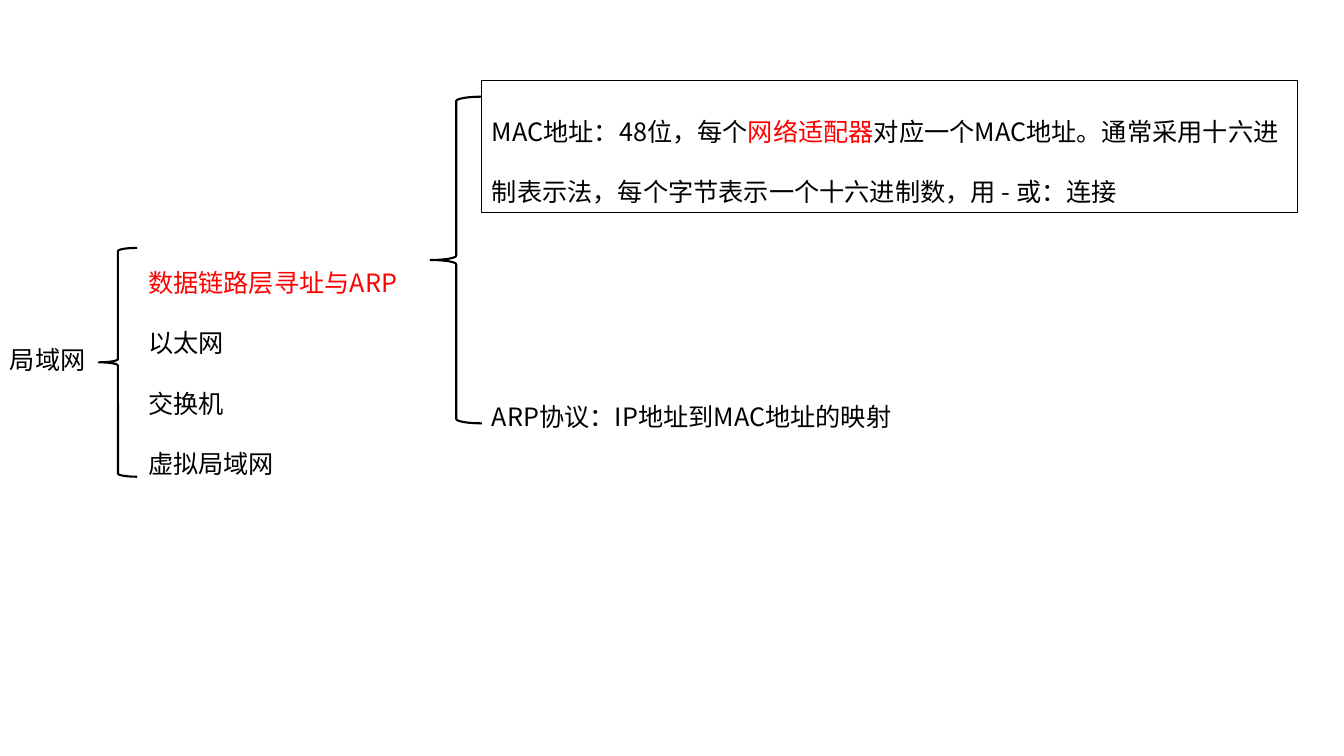
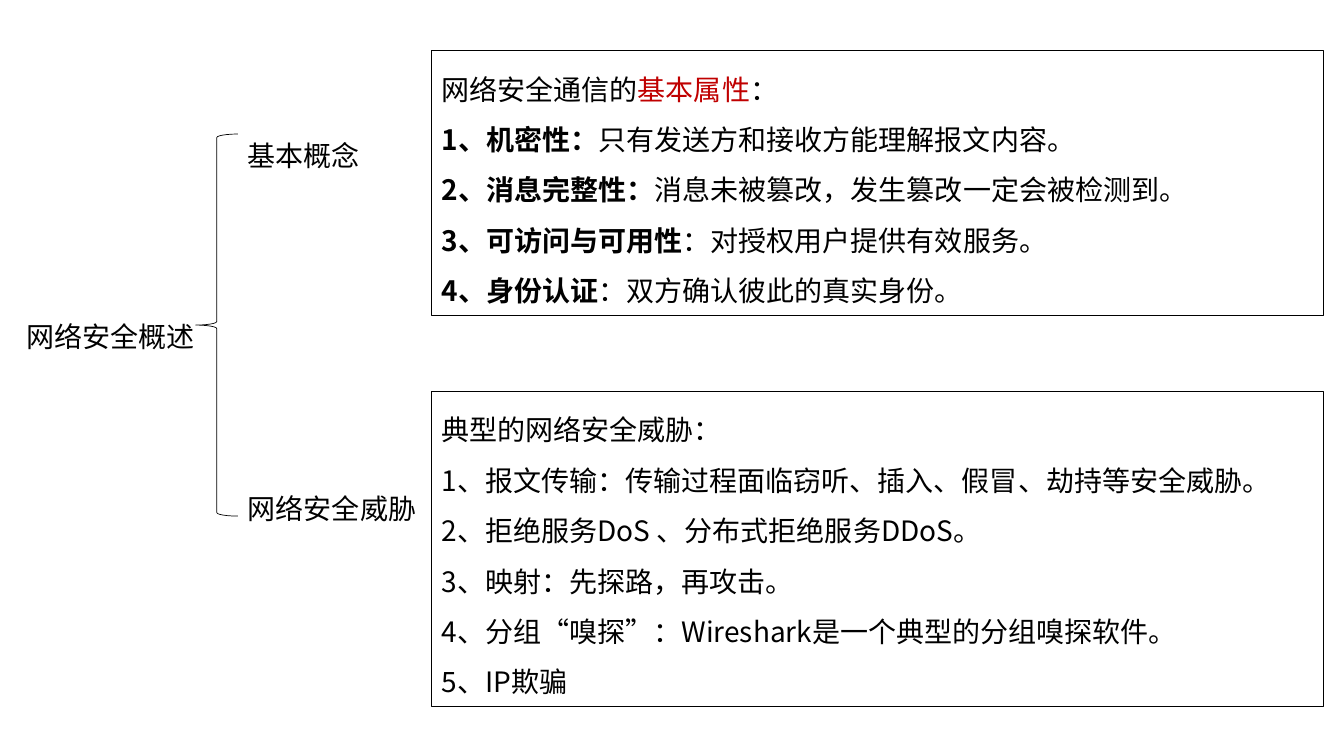
from dataclasses import dataclass

from lxml import etree
from pptx import Presentation
from pptx import util as u
from pptx.dml.color import RGBColor
from pptx.enum import shapes, text
from pptx.oxml import ns


@dataclass(frozen=True)
class Theme:
    """Colours, font and type sizes of the deck."""
    ink: str = "000000"
    red: str = "FF0000"
    dark_red: str = "C00000"
    font: str = "Noto Sans CJK SC"
    small: int = 18
    large: int = 20
    frame_line: float = 0.75


@dataclass(frozen=True)
class Box:
    """A rectangle in inches."""
    left: float
    top: float
    width: float
    height: float

    def inner(self, left, top, width, height):
        """Return a box placed relative to this one."""
        return Box(self.left + left, self.top + top, width, height)

    def lengths(self):
        """Return the four lengths for python-pptx."""
        return [u.Inches(value) for value in (self.left, self.top, self.width, self.height)]


THEME = Theme()


def plain(words):
    """Describe a span in the standard ink."""
    return words, THEME.ink, False


def strong(words):
    """Describe a bold span."""
    return words, THEME.ink, True


def marked(words, color):
    """Describe a coloured span."""
    return words, color, False


def style_span(span, color, bold, size):
    """Give a span its Latin and East Asian font, size and colour."""
    span.font.name = THEME.font
    span.font.size = u.Pt(size)
    span.font.bold = bold
    span.font.color.rgb = RGBColor.from_string(color)
    latin = span.font._element.find(ns.qn("a:latin"))
    east_asian = etree.Element(ns.qn("a:ea"), typeface=THEME.font)
    latin.addnext(east_asian)


def write(shape, lines, size, spacing):
    """Fill a shape with paragraphs made of described spans."""
    frame = shape.text_frame
    frame.word_wrap = True
    frame.auto_size = text.MSO_AUTO_SIZE.SHAPE_TO_FIT_TEXT
    frame.vertical_anchor = text.MSO_ANCHOR.TOP
    for index, line in enumerate(lines):
        para = frame.add_paragraph() if index else frame.paragraphs[0]
        para.alignment = text.PP_ALIGN.LEFT
        para.line_spacing = spacing
        for words, color, bold in line:
            span = para.add_run()
            span.text = words
            style_span(span, color, bold, size)


def add_text(page, box, lines, size, spacing=1.0):
    """Add an unframed text box."""
    write(page.shapes.add_textbox(*box.lengths()), lines, size, spacing)


def add_outline(page, kind, box, weight):
    """Add an unfilled preset shape with a dark outline."""
    shape = page.shapes.add_shape(kind, *box.lengths())
    shape.shadow.inherit = False
    shape.fill.background()
    shape.line.color.rgb = RGBColor.from_string(THEME.ink)
    shape.line.width = u.Pt(weight)
    return shape


def add_brace(page, box, weight):
    """Add a left brace that opens a branch."""
    add_outline(page, shapes.MSO_SHAPE.LEFT_BRACE, box, weight)


def add_framed_text(page, box, lines, size, spacing):
    """Add text inside a thin frame."""
    frame = add_outline(page, shapes.MSO_SHAPE.RECTANGLE, box, THEME.frame_line)
    write(frame, lines, size, spacing)


def network_topics(page, box):
    """Place the root topic, its brace and its branches."""
    topics = [
        [marked("数据链路层寻址与ARP", THEME.red)],
        [plain("以太网")],
        [plain("交换机")],
        [plain("虚拟局域网")],
    ]
    add_text(page, box.inner(0, 1.07, 1.37, 0.4), [[plain("局域网")]], THEME.small)
    add_brace(page, box.inner(0.98, 0.16, 0.38, 2.27), 1.5)
    add_text(page, box.inner(1.37, 0, 4.46, box.height), topics, THEME.small, 2.0)


def addressing_details(page, box):
    """Place the brace with the MAC and ARP explanations."""
    mac = [
        plain("MAC地址：48位，每个"),
        marked("网络适配器", THEME.red),
        plain("对应一个MAC地址。通常采用十六进制表示法，"
              "每个字节表示一个十六进制数，用 - 或：连接"),
    ]
    arp = [plain("ARP协议：IP地址到MAC地址的映射")]
    add_brace(page, box.inner(0, 0.16, 0.51, 3.24), 1.5)
    add_framed_text(page, box.inner(0.51, 0, 8.09, 1.31), [mac], THEME.small, 2.0)
    add_text(page, box.inner(0.51, 2.83, 4.29, 0.62), [arp], THEME.small, 2.0)


def security_topics(page, box):
    """Place the security root topic, its brace and two branches."""
    add_text(page, box.inner(0, 1.96, 1.93, 0.44), [[plain("网络安全概述")]], THEME.large)
    add_brace(page, box.inner(1.78, 0.17, 0.42, 3.79), 0.5)
    for top, words in ((0, "基本概念"), (3.5, "网络安全威胁")):
        add_text(page, box.inner(2.2, top, 2.3, 0.64), [[plain(words)]], THEME.large, 1.5)


def security_details(page, box):
    """Place the framed properties above the framed threats."""
    properties = [
        [plain("网络安全通信的"), marked("基本属性", THEME.dark_red), plain("：")],
        [strong("1、机密性："), plain("只有发送方和接收方能理解报文内容。")],
        [strong("2、消息完整性："), plain("消息未被篡改，发生篡改一定会被检测到。")],
        [strong("3、可访问与可用性"), plain("：对授权用户提供有效服务。")],
        [strong("4、身份认证"), plain("：双方确认彼此的真实身份。")],
    ]
    threats = [[plain(words)] for words in (
        "典型的网络安全威胁：",
        "1、报文传输：传输过程面临窃听、插入、假冒、劫持等安全威胁。",
        "2、拒绝服务DoS 、分布式拒绝服务DDoS。",
        "3、映射：先探路，再攻击。",
        "4、分组“嗅探”：Wireshark是一个典型的分组嗅探软件。",
        "5、IP欺骗",
    )]
    for top, height, lines in ((0, 2.63, properties), (3.38, 3.13, threats)):
        add_framed_text(page, box.inner(0, top, box.width, height), lines, THEME.large, 1.5)


def main():
    """Build and save the deck."""
    deck = Presentation()
    deck.slide_width, deck.slide_height = u.Inches(13.33), u.Inches(7.5)
    blank = deck.slide_layouts.get_by_name("Blank")

    network = deck.slides.add_slide(blank)
    network_topics(network, Box(0, 2.3, 5.83, 2.52))
    addressing_details(network, Box(4.27, 0.8, 8.6, 3.45))

    security = deck.slides.add_slide(blank)
    security_topics(security, Box(0.16, 1.16, 4.5, 4.14))
    security_details(security, Box(4.28, 0.5, 8.85, 6.51))

    deck.save("out.pptx")


if __name__ == "__main__":
    main()
